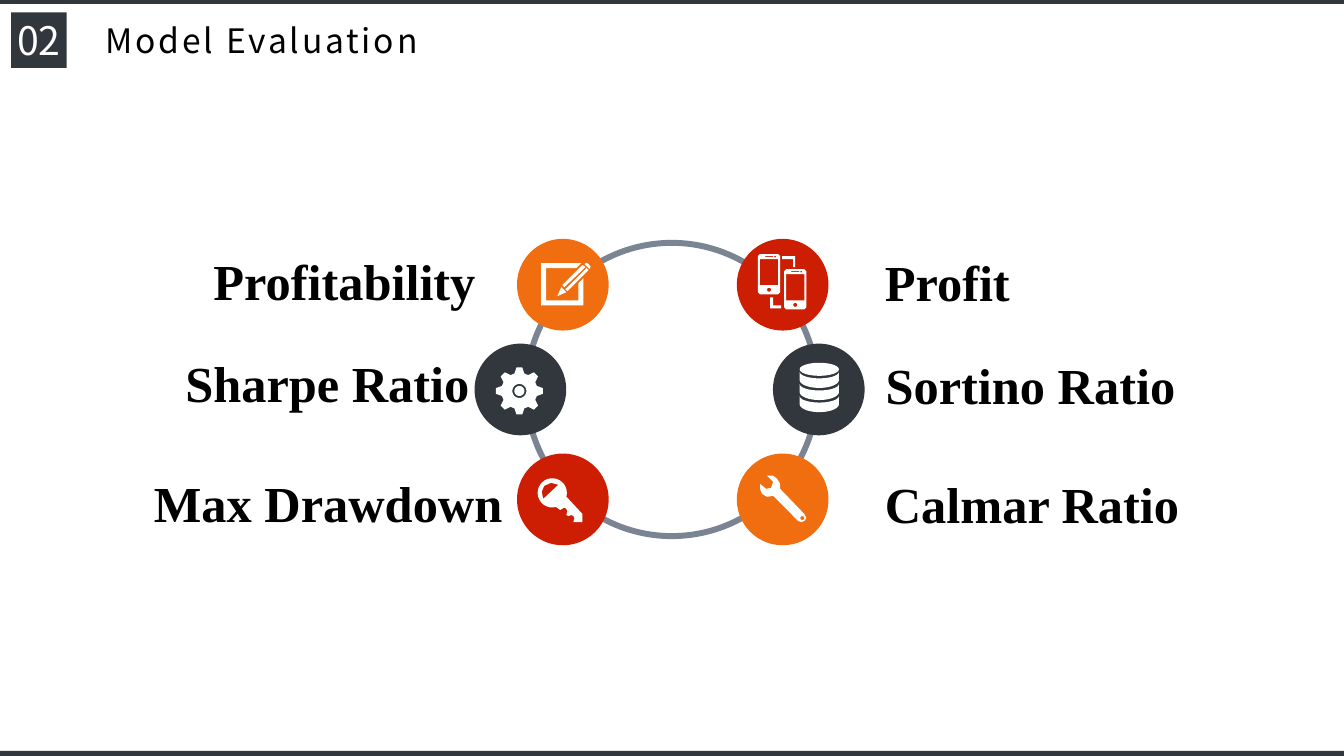
from dataclasses import dataclass
from math import cos, radians, sin

from pptx import Presentation
from pptx.dml.color import RGBColor
from pptx.enum.shapes import MSO_SHAPE
from pptx.enum.text import MSO_ANCHOR, PP_ALIGN
from pptx.util import Cm, Pt

RECTANGLE, OVAL = MSO_SHAPE.RECTANGLE, MSO_SHAPE.OVAL
MIDDLE, CENTER = MSO_ANCHOR.MIDDLE, PP_ALIGN.CENTER


@dataclass(frozen=True)
class Theme:
    dark: RGBColor = RGBColor(0x32, 0x36, 0x3D)
    orange: RGBColor = RGBColor(0xF0, 0x6E, 0x0F)
    red: RGBColor = RGBColor(0xCD, 0x1E, 0x04)
    ring: RGBColor = RGBColor(0x7B, 0x84, 0x93)
    icon: RGBColor = RGBColor(0xFE, 0xFF, 0xFF)
    white: RGBColor = RGBColor(0xFF, 0xFF, 0xFF)
    black: RGBColor = RGBColor(0, 0, 0)
    heading_font: str = "Noto Sans CJK SC"
    label_font: str = "Times New Roman"
    number_size: Pt = Pt(28)
    title_size: Pt = Pt(24)
    label_size: Pt = Pt(36)
    ring_width: Pt = Pt(4.25)


THEME = Theme()
BADGE_SIZE = 2.31
ICON_GRID = 91


def arc(x, y, radius_x, radius_y, start=0, end=360, steps=24):
    angles = [radians(start + (end - start) * i / steps) for i in range(steps + 1)]
    return [(x + radius_x * cos(a), y + radius_y * sin(a)) for a in angles]


def box(left, top, right, bottom):
    return [(left, top), (right, top), (right, bottom), (left, bottom)]


def pencil_icon():
    return [
        [[(49, 53), (44, 48), (40, 57)]],
        [[(65, 26), (45, 46), (47, 48), (68, 28)]],
        [[(48, 50), (50, 52), (71, 31), (69, 29)]],
        [[(67, 25), (69, 23.7), (71, 25), (73, 27.5), (72, 30)]],
        [[(61, 61), (29, 61), (29, 29), (59, 29), (64, 24), (24, 24),
          (24, 66), (66, 66), (66, 39), (61, 44)]],
    ]


def gear_icon():
    x, y, teeth = 44.5, 47, 8
    corners = [(-16, 18), (-7, 23.5), (7, 23.5), (16, 18)]
    outline = []
    for tooth in range(teeth):
        for offset, radius in corners:
            angle = radians(tooth * 360 / teeth + offset)
            outline.append((x + radius * cos(angle), y + radius * sin(angle)))
    return [[outline, arc(x, y, 7, 7)], [arc(x, y, 5, 5)]]


def database_icon():
    x, radius = 46, 19.5
    bands = [arc(x, y, radius, 6.5, 180, 0) + arc(x, y + 8, radius, 8, 0, 180)
             for y in (28, 40, 52)]
    return [[arc(x, 25.5, radius, 6.5), *bands]]


def key_icon():
    shaft = [(65, 60), (65, 68), (56, 68), (57, 64), (56, 62), (54, 61),
             (51, 62), (49, 61), (50, 57), (49, 55), (47, 53.5), (43, 56)]
    hole = [(26, 45), (24.5, 38), (27, 32), (34, 29), (41, 31)]
    return [[arc(35, 39, 14.5, 14.5, 75, 375) + shaft, hole]]


def wrench_icon():
    outline = [(43, 35), (43, 30), (40, 25), (36, 22), (30, 22), (36, 28),
               (34, 34), (29, 35), (23, 30), (23, 35), (25, 40), (30, 43),
               (36, 42), (61, 67), (64, 68), (67, 67), (69, 64), (67, 60)]
    return [[outline, arc(65, 64, 2, 2)]]


def phone(left, top):
    body = [(2, 0), (20, 0), (22, 2), (22, 38), (20, 40), (2, 40), (0, 38), (0, 2)]
    contours = [body, box(2, 5, 20, 31), box(7, 2, 15, 3),
                arc(17, 2.5, 1, 0.8), arc(11, 35.5, 2, 2)]
    return [[(left + x, top + y) for x, y in contour] for contour in contours]


def phones_icon():
    return [
        phone(21, 15),
        phone(47, 30),
        [[(56, 28), (58, 28), (58, 17), (45, 17), (45, 20), (56, 20)]],
        [[(33, 58), (36, 58), (36, 66), (44, 66), (44, 69), (33, 69)]],
    ]


BADGES = [
    (9.4, 0, THEME.orange, pencil_icon),
    (8.33, 2.64, THEME.dark, gear_icon),
    (9.4, 5.41, THEME.red, key_icon),
    (14.94, 0, THEME.red, phones_icon),
    (15.85, 2.64, THEME.dark, database_icon),
    (14.94, 5.41, THEME.orange, wrench_icon),
]
LABELS = [
    (1.5, 0.15, 7.14, "Profitability"),
    (18.42, 0.18, 8.43, "Profit"),
    (0.79, 2.74, 8.43, "Sharpe Ratio"),
    (18.44, 2.79, 8.43, "Sortino Ratio"),
    (0, 5.74, 9.93, "Max Drawdown"),
    (18.42, 5.77, 8.43, "Calmar Ratio"),
]


def paint(shape, color):
    shape.shadow.inherit = False
    shape.fill.solid()
    shape.fill.fore_color.rgb = color
    shape.line.fill.background()


def add_filled(slide, kind, left, top, width, height, color):
    shape = slide.shapes.add_shape(kind, Cm(left), Cm(top), Cm(width), Cm(height))
    paint(shape, color)
    return shape


def write(shape, text, font_name, size, color, bold=False):
    shape.text_frame.text = text
    paragraph = shape.text_frame.paragraphs[0]
    font = paragraph.runs[0].font
    font.name, font.size, font.bold = font_name, size, bold
    font.color.rgb = color
    return paragraph


def add_frame_bars(slide, width, height):
    for top in (-0.03, height - 0.13):
        add_filled(slide, RECTANGLE, 0, top, width, 0.13, THEME.dark)


def add_heading(slide, left, top, height, number, title):
    square = add_filled(slide, RECTANGLE, left, top, height, height, THEME.dark)
    frame = square.text_frame
    frame.margin_left = frame.margin_right = frame.margin_top = frame.margin_bottom = 0
    title_box = slide.shapes.add_textbox(Cm(left + 1.35), Cm(top), Cm(9.93), Cm(height))
    title_box.text_frame.word_wrap = True
    for shape, text, size, color in (
        (square, number, THEME.number_size, THEME.white),
        (title_box, title, THEME.title_size, THEME.black),
    ):
        paragraph = write(shape, text, THEME.heading_font, size, color)
        paragraph.alignment = CENTER
        shape.text_frame.vertical_anchor = MIDDLE
    paragraph.runs[0].font._element.set("spc", "200")


def add_badge(slide, left, top, color, icon):
    add_filled(slide, OVAL, left, top, BADGE_SIZE, BADGE_SIZE, color)
    unit = Cm(BADGE_SIZE) / ICON_GRID
    for contours in icon():
        scaled = [[(x * unit, y * unit) for x, y in contour] for contour in contours]
        builder = slide.shapes.build_freeform(*scaled[0][0])
        builder.add_line_segments(scaled[0][1:])
        for contour in scaled[1:]:
            builder.move_to(*contour[0])
            builder.add_line_segments(contour[1:])
        paint(builder.convert_to_shape(Cm(left), Cm(top)), THEME.icon)


def add_metrics_ring(slide, left, top):
    ring = slide.shapes.add_shape(OVAL, Cm(left + 9.63), Cm(top + 0.1), Cm(7.34), Cm(7.39))
    ring.shadow.inherit = False
    ring.fill.background()
    ring.line.color.rgb = THEME.ring
    ring.line.width = THEME.ring_width
    for x, y, color, icon in BADGES:
        add_badge(slide, left + x, top + y, color, icon)
    for x, y, width, text in LABELS:
        label = slide.shapes.add_textbox(Cm(left + x), Cm(top + y), Cm(width), Cm(1.63))
        label.text_frame.word_wrap = True
        write(label, text, THEME.label_font, THEME.label_size, THEME.black, bold=True)


def main():
    width, height = 33.87, 19.05
    presentation = Presentation()
    presentation.slide_width, presentation.slide_height = Cm(width), Cm(height)
    slide = presentation.slides.add_slide(presentation.slide_layouts[6])
    add_frame_bars(slide, width, height)
    add_heading(slide, 0.28, 0.31, 1.4, "02", "Model Evaluation")
    add_metrics_ring(slide, 3.63, 6.02)
    presentation.save("out.pptx")


if __name__ == "__main__":
    main()
